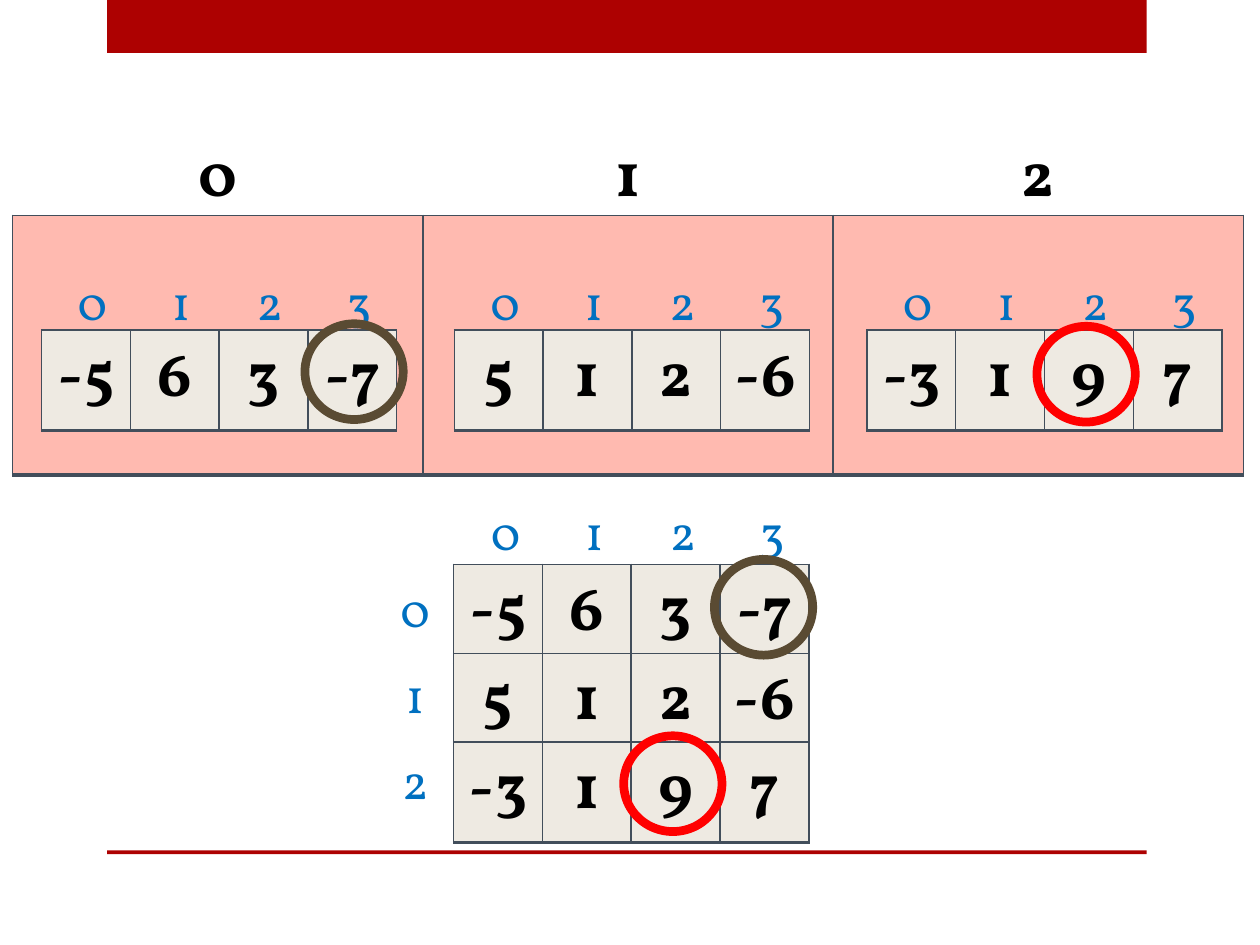
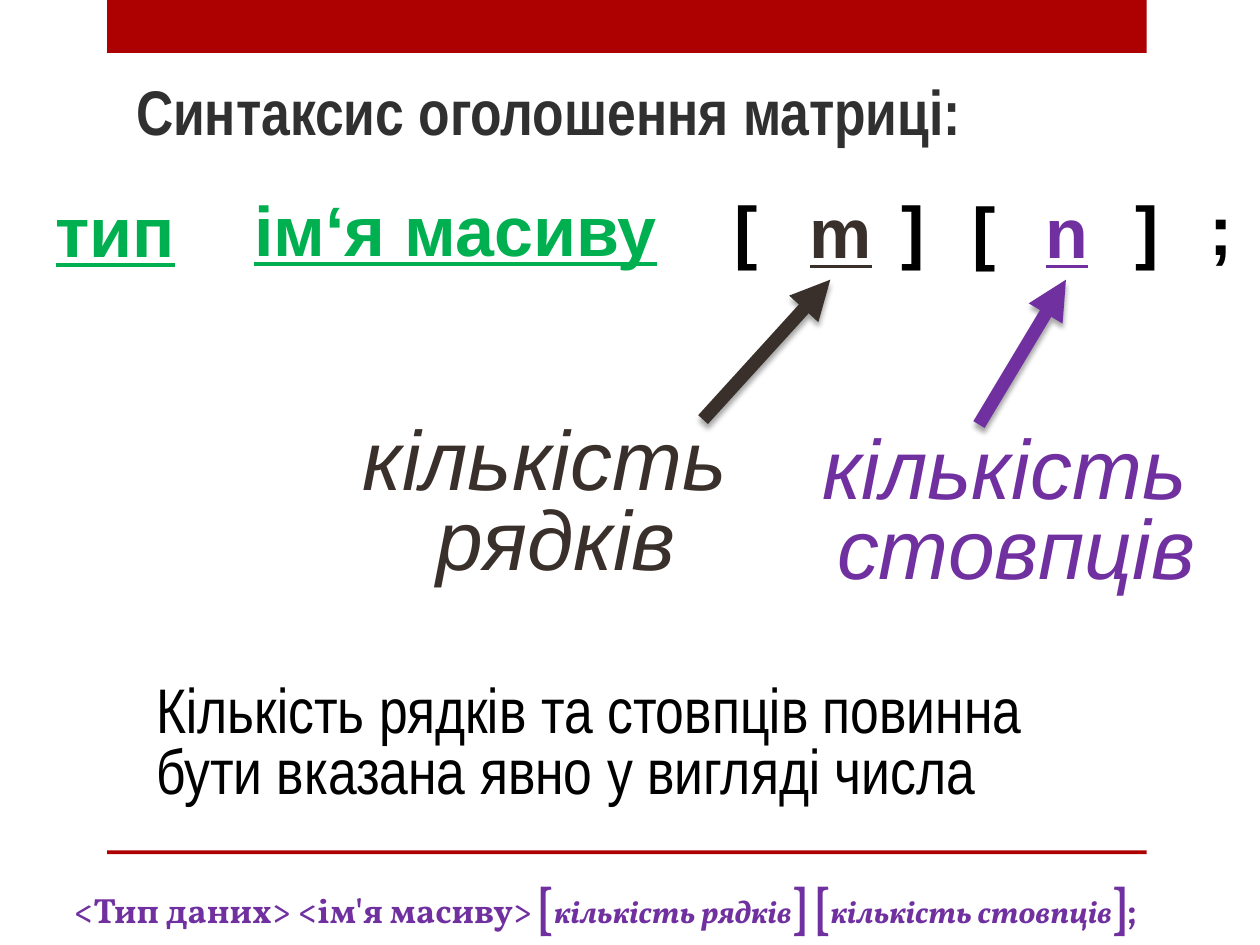
from dataclasses import dataclass
from typing import NamedTuple

import lxml.etree
import pptx
import pptx.dml.color
import pptx.enum.shapes
import pptx.enum.text
import pptx.oxml.ns
import pptx.util

ALIGN = pptx.enum.text.PP_ALIGN
ANCHOR = pptx.enum.text.MSO_ANCHOR
SHAPE = pptx.enum.shapes.MSO_SHAPE
GRID_UNIT = pptx.util.Inches(0.1)
GRID_COLUMNS, GRID_ROWS = 100, 75


class TextStyle(NamedTuple):
    size: float
    face: str
    color: str
    bold: bool = False
    italic: bool = False
    underline: bool = False


@dataclass(frozen=True)
class Theme:
    accent: str = "AD0101"
    white: str = "FFFFFF"
    border: str = "424E5B"
    panel: str = "FFBAB0"
    cell: str = "EEEAE2"
    maximum: str = "FF0000"
    minimum: str = "5A4B33"
    ring_width: float = 5
    arrow_width: float = 7.5
    title: TextStyle = TextStyle(36, "Arial Narrow", "303030", bold=True)
    note: TextStyle = TextStyle(36, "Arial Narrow", "000000")
    number: TextStyle = TextStyle(36, "Vollkorn", "000000", bold=True)
    index: TextStyle = TextStyle(28, "Vollkorn", "0070C0")
    name: TextStyle = TextStyle(40, "Arial", "00B050", bold=True, underline=True)
    bracket: TextStyle = TextStyle(40, "Arial", "000000", bold=True)
    row_count: TextStyle = TextStyle(40, "Arial", "39302B", bold=True, underline=True)
    column_count: TextStyle = TextStyle(40, "Arial", "7030A0", bold=True, underline=True)
    row_caption: TextStyle = TextStyle(48, "Arial", "39302B", italic=True)
    column_caption: TextStyle = TextStyle(48, "Arial", "7030A0", italic=True)
    formula: TextStyle = TextStyle(20, "Vollkorn", "7030A0", bold=True)
    formula_bracket: TextStyle = formula._replace(size=28)
    formula_count: TextStyle = formula._replace(size=18, italic=True)


THEME = Theme()


class Place(NamedTuple):
    column: float
    row: float
    columns: float
    rows: float

    def lengths(self) -> list[int]:
        return [grid(value) for value in self]


@dataclass(frozen=True)
class Ring:
    column: float
    row: float
    color: str


@dataclass(frozen=True)
class Token:
    text: str
    place: Place
    style: TextStyle


@dataclass(frozen=True)
class Caption:
    text: str
    place: Place
    style: TextStyle
    arrow_start: tuple[float, float]
    target: str


MATRIX = (("-5", "6", "3", "-7"), ("5", "1", "2", "-6"), ("-3", "1", "9", "7"))
ROW_LABELS = ("0", "1", "2")
COLUMN_LABELS = ("0", "1", "2", "3")
STRIP_COLUMNS, STRIP_ROWS, LABEL_ROWS = 28.2, 7, 5.7
PANEL_COLUMNS = 97.7
STRIP_PITCH, MATRIX_PITCH = 32.75, 7.05

RINGS = (
    Ring(82.3, 25.9, THEME.maximum),
    Ring(49.5, 58.4, THEME.maximum),
    Ring(24.2, 25.7, THEME.minimum),
    Ring(56.7, 44.4, THEME.minimum),
)

TOKENS = (
    Token("тип", Place(2.6, 14.4, 13.1, 7.7), THEME.name),
    Token("ім‘я масиву", Place(16.5, 14.3, 39.3, 7.7), THEME.name),
    Token("[", Place(56.3, 14.3, 5.8, 7.7), THEME.bracket),
    Token("m", Place(63.3, 14.5, 5.2, 7.7), THEME.row_count),
    Token("]", Place(69.7, 14.3, 5.5, 7.7), THEME.bracket),
    Token("[", Place(75.2, 14.4, 5.8, 7.7), THEME.bracket),
    Token("n", Place(82, 14.5, 5.2, 7.7), THEME.column_count),
    Token("]", Place(88.3, 14.3, 5.5, 7.7), THEME.bracket),
    Token(";", Place(95, 14.2, 2.8, 7.7), THEME.bracket),
)

CAPTIONS = (
    Caption("кількість \vрядків", Place(27.6, 33.3, 33.1, 13.9),
            THEME.row_caption, (55.8, 33.3), "m"),
    Caption("кількість \vстовпців", Place(64.1, 34, 33.1, 13.9),
            THEME.column_caption, (77.7, 33.7), "n"),
)

FORMULA = (
    ("<Тип даних> <ім'я масиву> ", THEME.formula),
    ("[", THEME.formula_bracket),
    ("кількість рядків", THEME.formula_count),
    ("] [", THEME.formula_bracket),
    ("кількість стовпців", THEME.formula_count),
    ("]", THEME.formula_bracket),
    (";", THEME.formula),
)


def grid(value: float) -> int:
    return round(value * GRID_UNIT)


def rgb(color: str) -> pptx.dml.color.RGBColor:
    return pptx.dml.color.RGBColor.from_string(color)


def set_font(font, style: TextStyle) -> None:
    font.size = pptx.util.Pt(style.size)
    font.name = style.face
    font.color.rgb = rgb(style.color)
    font.bold = style.bold
    font.italic = style.italic
    font.underline = style.underline


def write(frame, text: str, style: TextStyle, align=ALIGN.LEFT, spacing: float = 1) -> None:
    frame.text = text
    para = frame.paragraphs[0]
    para.alignment = align
    para.line_spacing = spacing
    set_font(para.font, style)


def add_child(parent, tag: str, **attributes):
    return lxml.etree.SubElement(
        parent, pptx.oxml.ns.qn(tag), {key: str(value) for key, value in attributes.items()}
    )


def add_box(page, place: Place, fill: str | None, kind=SHAPE.RECTANGLE):
    box = page.shapes.add_shape(kind, *place.lengths())
    box.shadow.inherit = False
    box.line.fill.background()
    if fill:
        box.fill.solid()
        box.fill.fore_color.rgb = rgb(fill)
    else:
        box.fill.background()
    return box


def add_text(page, place: Place, text: str, style: TextStyle,
             align=ALIGN.LEFT, spacing: float = 1, wrap: bool = True):
    box = page.shapes.add_textbox(*place.lengths())
    box.text_frame.word_wrap = wrap
    write(box.text_frame, text, style, align, spacing)
    return box


def set_borders(cell, visible: bool) -> None:
    properties = cell._tc.get_or_add_tcPr()
    for position, side in enumerate("LRTB"):
        width = pptx.util.Pt(2 if side == "B" else 1)
        line = add_child(properties, f"a:ln{side}", w=int(width))
        if visible:
            add_child(add_child(line, "a:solidFill"), "a:srgbClr", val=THEME.border)
        else:
            add_child(line, "a:noFill")
        properties.insert(position, line)


def add_table(page, place: Place, rows, style: TextStyle, fill: str | None = None,
              anchor=ANCHOR.TOP) -> None:
    table = page.shapes.add_table(len(rows), len(rows[0]), *place.lengths()).table
    table.first_row = False
    table.horz_banding = False
    for row, texts in enumerate(rows):
        for column, text in enumerate(texts):
            cell = table.cell(row, column)
            cell.vertical_anchor = anchor
            if text:
                write(cell.text_frame, text, style, ALIGN.CENTER)
            if fill:
                cell.fill.solid()
                cell.fill.fore_color.rgb = rgb(fill)
            else:
                cell.fill.background()
            set_borders(cell, visible=fill is not None)


def add_strip(page, column: float, row: float, values) -> None:
    place = Place(column, row, STRIP_COLUMNS, STRIP_ROWS)
    add_table(page, place, [values], THEME.number, THEME.cell)


def add_column_labels(page, column: float, row: float) -> None:
    place = Place(column, row, STRIP_COLUMNS, LABEL_ROWS)
    add_table(page, place, [COLUMN_LABELS], THEME.index)


def add_ring(page, ring: Ring) -> None:
    oval = add_box(page, Place(ring.column, ring.row, 7.8, 7.6), None, SHAPE.OVAL)
    oval.line.color.rgb = rgb(ring.color)
    oval.line.width = pptx.util.Pt(THEME.ring_width)


def add_arrow(page, start: tuple[float, float], target, color: str) -> None:
    x, y = map(grid, start)
    arrow = page.shapes.add_connector(pptx.enum.shapes.MSO_CONNECTOR.STRAIGHT, x, y, x, y)
    arrow.end_connect(target, 2)
    arrow.line.color.rgb = rgb(color)
    arrow.line.width = pptx.util.Pt(THEME.arrow_width)
    add_child(arrow.line._get_or_add_ln(), "a:tailEnd", type="triangle")
    effects = add_child(arrow._element.spPr, "a:effectLst")
    blur = int(pptx.util.Pt(3))
    shadow = add_child(effects, "a:outerShdw", blurRad=blur, dist=blur, dir=90 * 60000, rotWithShape=0)
    add_child(add_child(shadow, "a:srgbClr", val="000000"), "a:alpha", val=35000)


def add_page(deck, layout_name: str):
    page = deck.slides.add_slide(deck.slide_layouts.get_by_name(layout_name))
    add_box(page, Place(8.5, 0, 82.5, 4.2), THEME.accent)
    add_box(page, Place(8.5, 67.5, 82.5, 0.3), THEME.accent)
    return page


def build_matrix_page(deck) -> None:
    page = add_page(deck, "Blank")
    add_table(page, Place(1, 17.1, PANEL_COLUMNS, 20.6), [("", "", "")], THEME.number, THEME.panel)
    add_table(page, Place(1, 10.3, PANEL_COLUMNS, 9.8), [ROW_LABELS], THEME.number)
    for index, values in enumerate(MATRIX):
        column = 3.3 + index * STRIP_PITCH
        add_strip(page, column, 26.2, values)
        add_column_labels(page, column + 0.5, 21.2)
        add_strip(page, 36, 44.8 + index * MATRIX_PITCH, values)
    add_column_labels(page, 36.6, 39.5)
    add_table(page, Place(29.4, 45.4, 7.1, 20.5), ROW_LABELS, THEME.index, anchor=ANCHOR.MIDDLE)
    for ring in RINGS:
        add_ring(page, ring)


def build_syntax_page(deck) -> None:
    page = add_page(deck, "Title Only")
    title = page.shapes.title
    title.left, title.top, title.width, title.height = Place(9.3, 4.3, 79.3, 8.9).lengths()
    frame = title.text_frame
    frame.auto_size = pptx.enum.text.MSO_AUTO_SIZE.NONE
    frame.vertical_anchor = ANCHOR.MIDDLE
    frame.margin_left = grid(1.5)
    write(frame, "Синтаксис оголошення матриці:", THEME.title)

    boxes = {}
    for token in TOKENS:
        box = add_box(page, token.place, THEME.white)
        box.text_frame.vertical_anchor = ANCHOR.TOP
        write(box.text_frame, token.text, token.style, ALIGN.CENTER)
        boxes[token.text] = box
    for caption in CAPTIONS:
        add_text(page, caption.place, caption.text, caption.style, ALIGN.CENTER, 0.8, wrap=False)
        add_arrow(page, caption.arrow_start, boxes[caption.target], caption.style.color)

    add_text(page, Place(11.4, 53.9, 77.3, 10.7),
             "Кількість рядків та стовпців повинна бути вказана явно у вигляді числа",
             THEME.note, spacing=0.8)
    formula = add_text(page, Place(4.9, 68.9, 94.1, 5.2), "", THEME.formula)
    for text, style in FORMULA:
        span = formula.text_frame.paragraphs[0].add_run()
        span.text = text
        set_font(span.font, style)


def main() -> None:
    deck = pptx.Presentation()
    deck.slide_width = GRID_COLUMNS * GRID_UNIT
    deck.slide_height = GRID_ROWS * GRID_UNIT
    build_matrix_page(deck)
    build_syntax_page(deck)
    deck.save("out.pptx")


if __name__ == "__main__":
    main()
